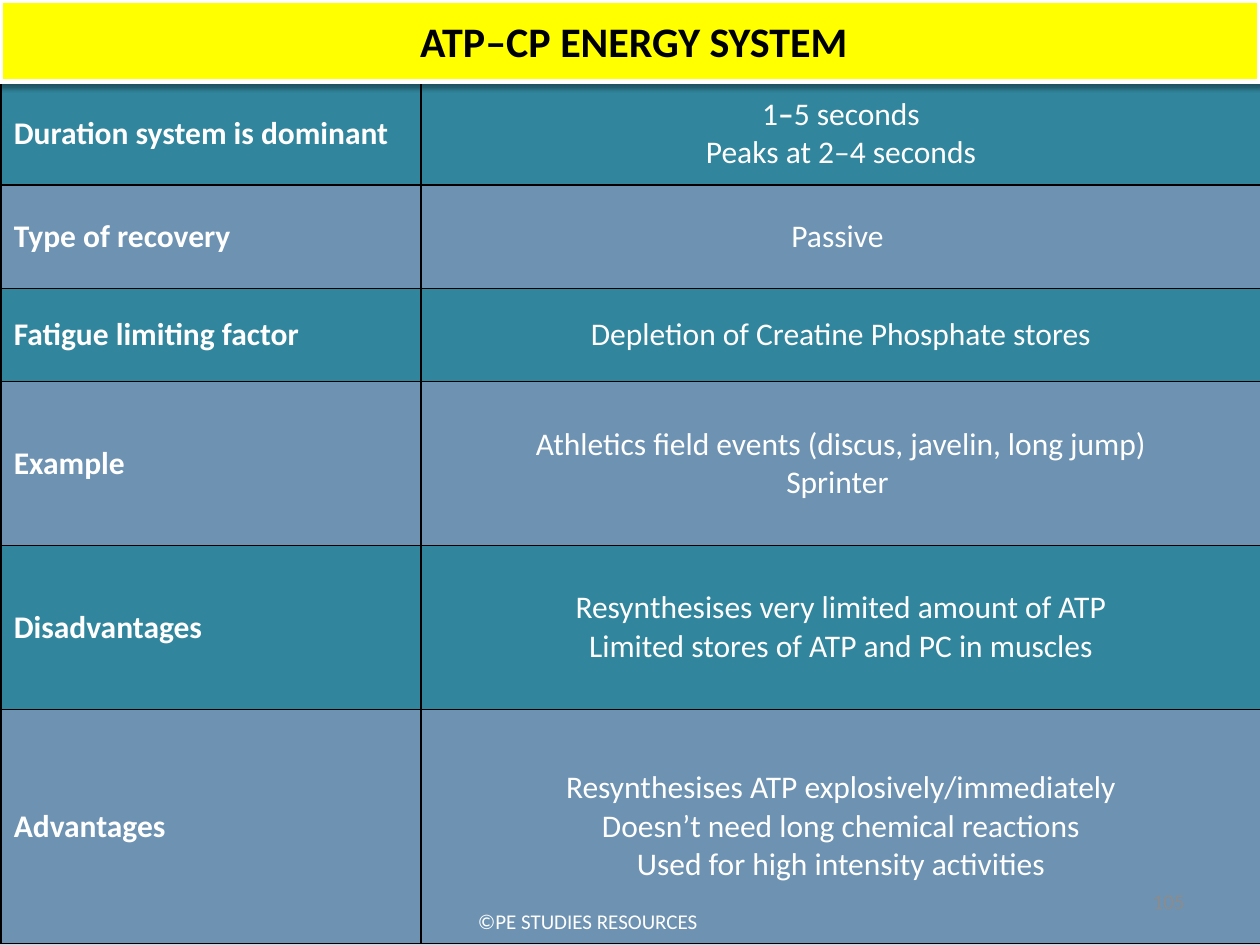
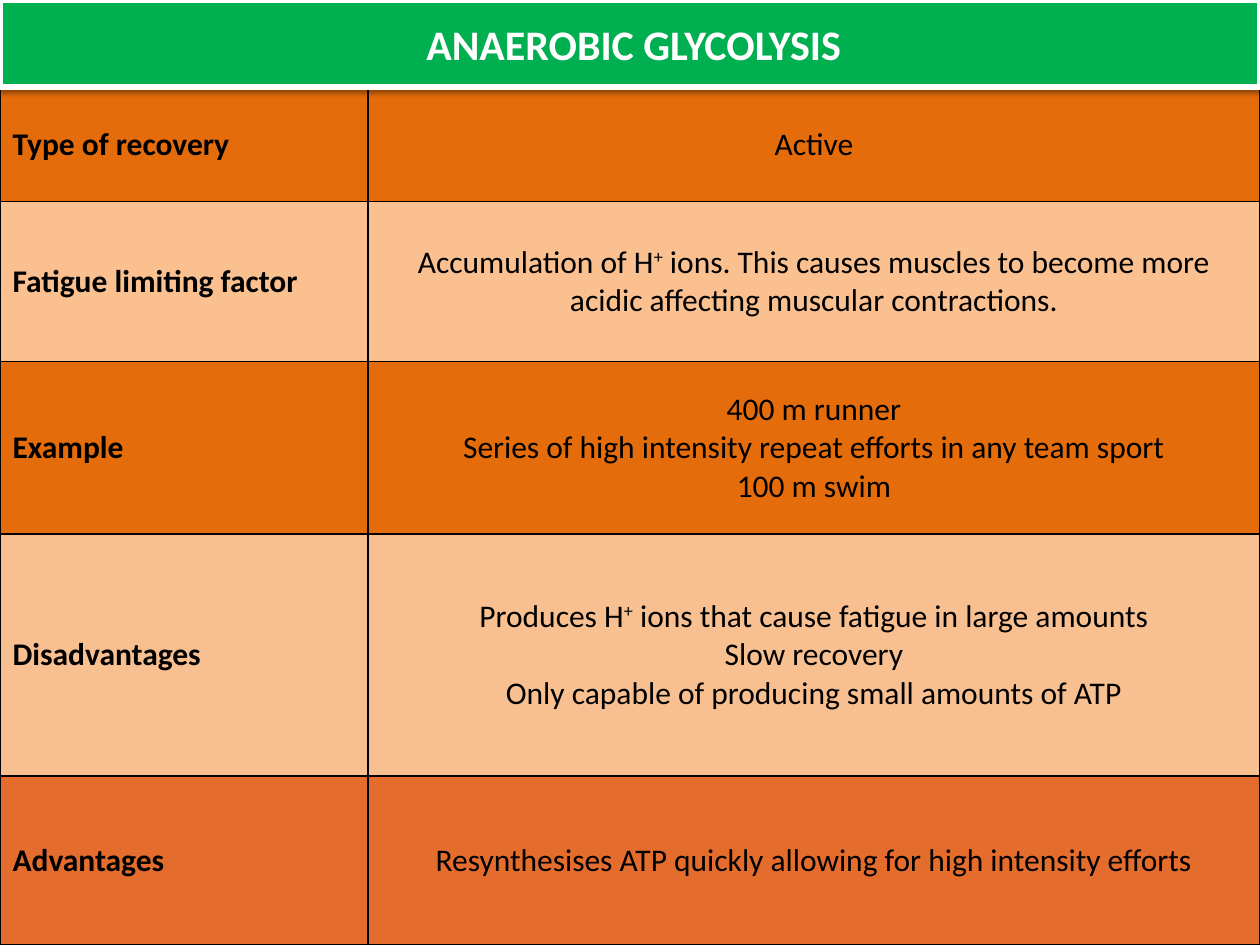
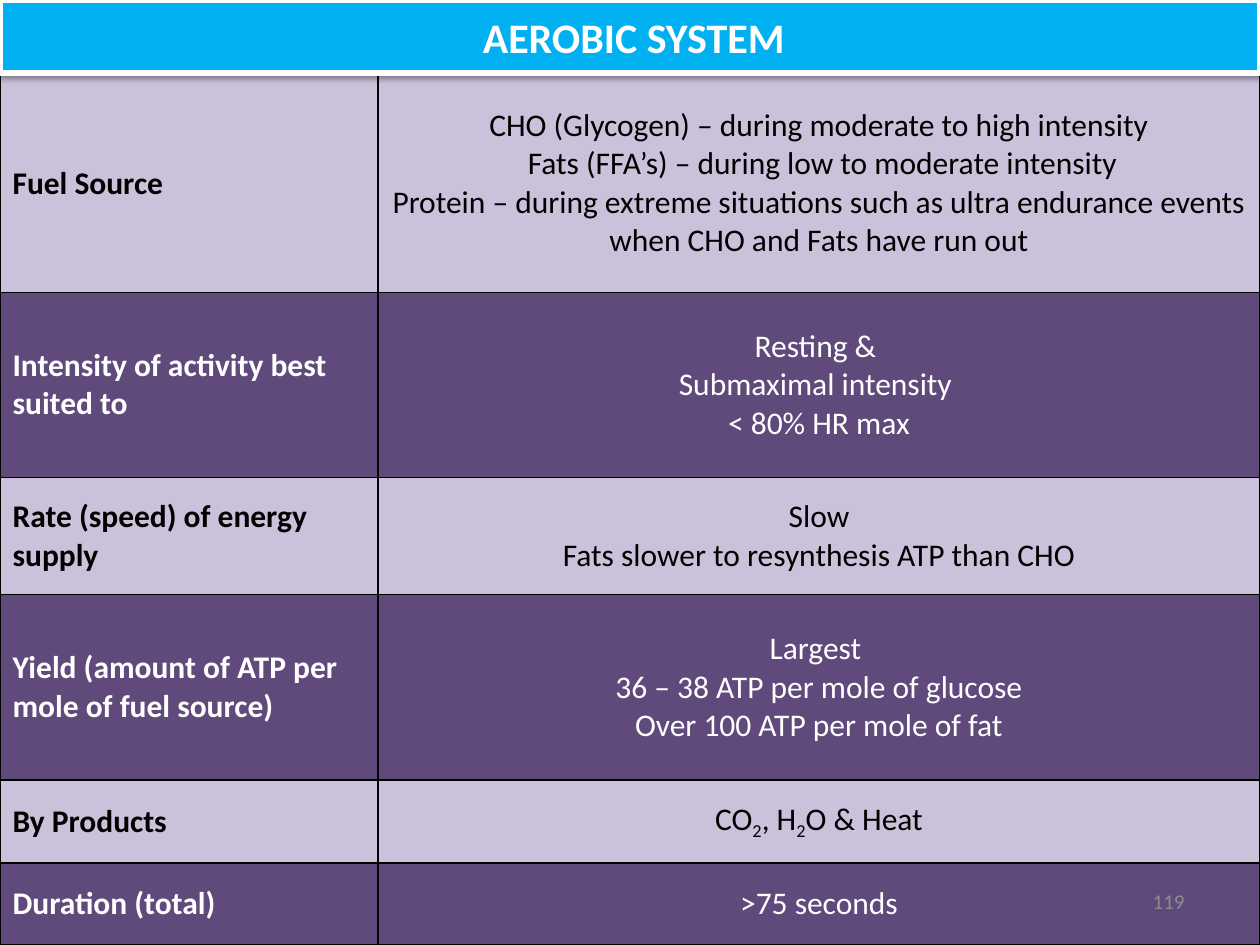
import pptx
import pptx.dml.color
import pptx.enum.shapes
import pptx.enum.text
import pptx.oxml
import pptx.oxml.ns
import pptx.util

RGB = pptx.dml.color.RGBColor
ALIGN = pptx.enum.text.PP_ALIGN
MIDDLE = pptx.enum.text.MSO_ANCHOR.MIDDLE
NS = pptx.oxml.ns.nsdecls("a")

# Shared look
PX = 9144  # 100 px to the inch
WIDE, HIGH = 1000, 750
FONT = "Calibri"
BLACK = RGB(0x00, 0x00, 0x00)
WHITE = RGB(0xFF, 0xFF, 0xFF)
GREY = RGB(0x8C, 0x8C, 0x8C)
PALE = RGB(0xB7, 0xDE, 0xE9)
YELLOW = RGB(0xFF, 0xFF, 0x00)
GREEN = RGB(0x00, 0xB0, 0x50)
BLUE = RGB(0x00, 0xB0, 0xF0)
TEAL = RGB(0x31, 0x85, 0x9C)
NAVY = RGB(0x00, 0x20, 0x60)
ORANGE = RGB(0xE4, 0x6C, 0x0A)
CORAL = RGB(0xE4, 0x6D, 0x2D)
PEACH = RGB(0xFA, 0xC0, 0x90)
SAND = RGB(0xF8, 0xC0, 0x90)
LILAC = RGB(0xCC, 0xC1, 0xDA)
PURPLE = RGB(0x60, 0x4A, 0x7B)
ALPHA = {NAVY: 40}  # percent opacity of see-through fills

# Run styles
SUPER = {"base": 30}
SUB = {"base": -25}
BOLD = {"bold": True}

# Table rows: height, fill, text colour, label, lines.
# A line is a string, or a list of strings and (string, style) runs.
ATP = [
    (82, TEAL, WHITE, "Duration system is dominant",
     [["1", ("–", BOLD), "5 seconds"], "Peaks at 2–4 seconds"]),
    (82, NAVY, WHITE, "Type of recovery", ["Passive "]),
    (74, TEAL, WHITE, "Fatigue limiting factor",
     ["Depletion of Creatine Phosphate stores"]),
    (130, NAVY, WHITE, "Example",
     ["Athletics field events (discus, javelin, long jump)", "Sprinter "]),
    (130, TEAL, WHITE, "Disadvantages",
     ["Resynthesises very limited amount of ATP",
      "Limited stores of ATP and PC in muscles"]),
    (186, NAVY, WHITE, "Advantages",
     ["Resynthesises ATP explosively/immediately",
      "Doesn’t need long chemical reactions",
      "Used for high intensity activities"]),
]
LACTIC = [
    (91, ORANGE, BLACK, "Type of recovery", ["Active"]),
    (127, PEACH, BLACK, "Fatigue limiting factor",
     [["Accumulation of H", ("+", SUPER),
       " ions. This causes muscles to become more acidic affecting "
       "muscular contractions."]]),
    (137, ORANGE, BLACK, "Example",
     ["400 m runner",
      "Series of high intensity repeat efforts in any team sport",
      "100 m swim"]),
    (192, SAND, BLACK, "Disadvantages",
     [["Produces H", ("+", SUPER),
       " ions that cause fatigue in large amounts"],
      "Slow recovery",
      "Only capable of producing small amounts of ATP"]),
    (134, CORAL, BLACK, "Advantages",
     ["Resynthesises ATP quickly allowing for high intensity efforts"]),
]
OXYGEN = [
    (173, LILAC, BLACK, "Fuel Source",
     ["CHO (Glycogen) – during moderate to high intensity",
      " Fats (FFA’s) – during low to moderate intensity",
      "Protein – during extreme situations such as ultra endurance events "
      "when CHO and Fats have run out"]),
    (147, PURPLE, WHITE, "Intensity of activity best suited to",
     ["Resting & ", "Submaximal intensity ", "< 80% HR max"]),
    (93, LILAC, BLACK, "Rate (speed) of energy supply",
     ["Slow", "Fats slower to resynthesis ATP than CHO"]),
    (147, PURPLE, WHITE, "Yield (amount of ATP per mole of fuel source)",
     ["Largest ", "36 – 38 ATP per mole of glucose",
      "Over 100 ATP per mole of fat"]),
    (66, LILAC, BLACK, "By Products",
     [["CO", ("2", SUB), ", H", ("2", SUB), "O & Heat"]]),
    (65, PURPLE, WHITE, "Duration (total)", [">75 seconds"]),
]


def box(*sides):
    return [side * PX for side in sides]


def add_run(para, text, size, color, bold=False, base=0):
    run = para.add_run()
    run.text = text
    font = run.font
    font.name, font.size, font.bold = FONT, pptx.util.Pt(size), bold
    font.color.rgb = color
    if base:
        run._r.get_or_add_rPr().set("baseline", str(base * 1000))


def write(frame, lines, size, color, align, bold=False):
    frame.word_wrap = True
    for i, line in enumerate(lines):
        para = frame.add_paragraph() if i else frame.paragraphs[0]
        para.alignment = align
        for part in [line] if isinstance(line, str) else line:
            text, style = (part, {}) if isinstance(part, str) else part
            add_run(para, text, size, color, **{"bold": bold, **style})


def paint(cell, color):
    cell.fill.solid()
    cell.fill.fore_color.rgb = color
    props = cell._tc.get_or_add_tcPr()
    if color in ALPHA:
        tone = props.find(".//" + pptx.oxml.ns.qn("a:srgbClr"))
        tone.append(pptx.oxml.parse_xml(
            f'<a:alpha {NS} val="{ALPHA[color] * 1000}"/>'))
    # Borders stand before the fill
    for i, side in enumerate("LRTB"):
        props.insert(i, pptx.oxml.parse_xml(
            f'<a:ln{side} {NS} w="12700"><a:solidFill>'
            f'<a:srgbClr val="{BLACK}"/></a:solidFill></a:ln{side}>'))


def add_grid(slide, left, top, split, rows):
    high = sum(row[0] for row in rows)
    grid = slide.shapes.add_table(
        len(rows), 2, *box(left, top, WIDE, high)).table
    grid.first_row = grid.horz_banding = False
    for col, width in zip(grid.columns, (split, WIDE - split)):
        col.width = width * PX
    for i, (tall, fill, ink, label, lines) in enumerate(rows):
        grid.rows[i].height = tall * PX
        name, facts = grid.cell(i, 0), grid.cell(i, 1)
        write(name.text_frame, [label], 18, ink, ALIGN.LEFT, bold=True)
        write(facts.text_frame, lines, 18, ink, ALIGN.CENTER)
        for cell in (name, facts):
            cell.vertical_anchor = MIDDLE
            paint(cell, fill)


def add_title(slide, text, high, fill, ink):
    band = slide.shapes.add_shape(
        pptx.enum.shapes.MSO_SHAPE.RECTANGLE, *box(0, 0, WIDE, high))
    band.fill.solid()
    band.fill.fore_color.rgb = fill
    band.line.color.rgb = WHITE
    band.line.width = pptx.util.Pt(3)
    band.shadow.inherit = False
    glow = band._element.spPr.find(pptx.oxml.ns.qn("a:effectLst"))
    glow.append(pptx.oxml.parse_xml(
        f'<a:outerShdw {NS} blurRad="40000" dist="20000" dir="5400000" '
        f'rotWithShape="0"><a:srgbClr val="{BLACK}">'
        '<a:alpha val="38000"/></a:srgbClr></a:outerShdw>'))
    frame = band.text_frame
    frame.vertical_anchor = MIDDLE
    write(frame, [text], 24, ink, ALIGN.CENTER, bold=True)
    frame.paragraphs[0]._p.get_or_add_pPr().set("marL", str(6 * PX))


def add_note(slide, text, sides, color, align):
    frame = slide.shapes.add_textbox(*box(*sides)).text_frame
    frame.vertical_anchor = MIDDLE
    write(frame, [text], 12, color, align)


def add_page(slide, number):
    add_note(slide, number, (717, 695, 233, 40), GREY, ALIGN.RIGHT)


def add_slide(deck):
    slide = deck.slides.add_slide(deck.slide_layouts[6])
    slide.background.fill.solid()
    slide.background.fill.fore_color.rgb = PALE
    return slide


def main():
    deck = pptx.Presentation()
    deck.slide_width, deck.slide_height = box(WIDE, HIGH)

    # ATP–CP system
    slide = add_slide(deck)
    add_grid(slide, 1, 65, 333, ATP)
    add_title(slide, "ATP–CP ENERGY SYSTEM", 65, YELLOW, BLACK)
    add_note(slide, "©PE STUDIES RESOURCES", (308, 711, 317, 40),
             WHITE, ALIGN.CENTER)
    add_page(slide, "105")

    # Anaerobic glycolysis
    slide = add_slide(deck)
    add_grid(slide, 0, 69, 292, LACTIC)
    add_title(slide, "ANAEROBIC GLYCOLYSIS", 69, GREEN, WHITE)

    # Aerobic system
    slide = add_slide(deck)
    add_grid(slide, 0, 59, 300, OXYGEN)
    add_title(slide, "AEROBIC SYSTEM", 58, BLUE, WHITE)
    add_page(slide, "119")

    deck.save("out.pptx")


if __name__ == "__main__":
    main()
